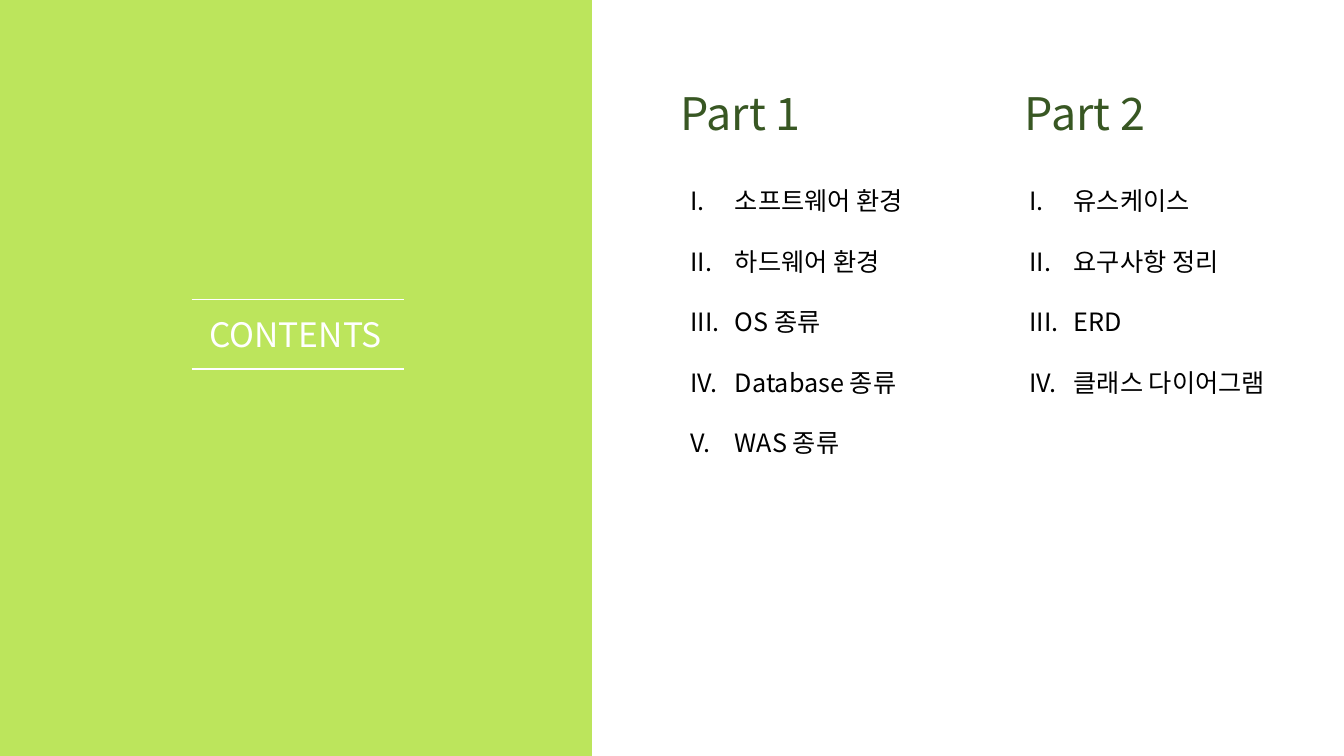
from dataclasses import dataclass

from lxml import etree
from pptx import Presentation
from pptx.dml.color import RGBColor
from pptx.enum.shapes import MSO_CONNECTOR, MSO_SHAPE
from pptx.enum.text import MSO_ANCHOR, MSO_AUTO_SIZE, PP_ALIGN
from pptx.oxml.ns import qn
from pptx.shapes.autoshape import Shape
from pptx.slide import Slide
from pptx.text.text import TextFrame, _Paragraph
from pptx.util import Inches, Pt

STRAIGHT = MSO_CONNECTOR.STRAIGHT
RECTANGLE = MSO_SHAPE.RECTANGLE
TOP = MSO_ANCHOR.TOP
FIT_SHAPE = MSO_AUTO_SIZE.SHAPE_TO_FIT_TEXT
CENTER = PP_ALIGN.CENTER
TITLE_ONLY_LAYOUT = 5


@dataclass(frozen=True)
class Theme:
    font: str = "Noto Sans CJK KR"
    panel: RGBColor = RGBColor(0xBC, 0xE5, 0x5C)
    white: RGBColor = RGBColor(0xFF, 0xFF, 0xFF)
    heading: RGBColor = RGBColor(0x38, 0x57, 0x23)
    body: RGBColor = RGBColor(0x00, 0x00, 0x00)
    title_size: int = 24
    heading_size: int = 32
    body_size: int = 18
    rule_width: int = 1


@dataclass(frozen=True)
class Box:
    left: float
    top: float
    width: float
    height: float


@dataclass(frozen=True)
class Part:
    heading: str
    heading_box: Box
    topics: tuple[str, ...]
    topics_box: Box


THEME = Theme()
NUMBER_INDENT = 0.44
RULE_LEFT, RULE_RIGHT = 1.9, 4.01
RULE_TOPS = (2.97, 3.66)
PANEL_BOX = Box(0, 0, 5.87, 7.5)
TITLE_BOX = Box(1.71, 3.06, 2.44, 0.5)
PARTS = (
    Part(
        "Part 1",
        Box(6.64, 0.8, 1.41, 0.64),
        ("소프트웨어 환경", "하드웨어 환경", "OS 종류", "Database 종류", "WAS 종류"),
        Box(6.75, 1.49, 2.51, 3.09),
    ),
    Part(
        "Part 2",
        Box(10.06, 0.8, 1.41, 0.64),
        ("유스케이스", "요구사항 정리", "ERD", "클래스 다이어그램"),
        Box(10.11, 1.49, 2.75, 2.52),
    ),
)


def lengths(box: Box) -> tuple[Inches, Inches, Inches, Inches]:
    return Inches(box.left), Inches(box.top), Inches(box.width), Inches(box.height)


def add_run(paragraph: _Paragraph, text: str, size: int, color: RGBColor) -> None:
    run = paragraph.add_run()
    run.text = text
    run.font.size = Pt(size)
    run.font.color.rgb = color
    run.font.name = THEME.font
    properties = run._r.get_or_add_rPr()
    etree.SubElement(properties, qn("a:ea"), typeface=THEME.font)


def number_paragraph(paragraph: _Paragraph) -> None:
    paragraph.line_spacing = 2.0
    properties = paragraph._p.get_or_add_pPr()
    properties.set("marL", str(Inches(NUMBER_INDENT)))
    properties.set("indent", str(-Inches(NUMBER_INDENT)))
    etree.SubElement(properties, qn("a:buAutoNum"), type="romanUcPeriod")


def add_text_box(slide: Slide, box: Box) -> TextFrame:
    frame = slide.shapes.add_textbox(*lengths(box)).text_frame
    frame.word_wrap = False
    frame.auto_size = FIT_SHAPE
    return frame


def add_panel(slide: Slide) -> Shape:
    panel = slide.shapes.add_shape(RECTANGLE, *lengths(PANEL_BOX))
    panel.shadow.inherit = False
    panel.fill.solid()
    panel.fill.fore_color.rgb = THEME.panel
    panel.line.fill.background()
    return panel


def add_rule(slide: Slide, top: float) -> None:
    rule = slide.shapes.add_connector(
        STRAIGHT, Inches(RULE_LEFT), Inches(top), Inches(RULE_RIGHT), Inches(top)
    )
    rule.line.color.rgb = THEME.white
    rule.line.width = Pt(THEME.rule_width)
    etree.SubElement(rule.element.spPr, qn("a:effectLst"))


def format_title(title: Shape) -> None:
    title.left, title.top, title.width, title.height = lengths(TITLE_BOX)
    frame = title.text_frame
    frame.word_wrap = True
    frame.auto_size = FIT_SHAPE
    frame.vertical_anchor = TOP
    paragraph = frame.paragraphs[0]
    paragraph.alignment = CENTER
    paragraph.line_spacing = 1.0
    paragraph.space_before = Pt(0)
    add_run(paragraph, "CONTENTS", THEME.title_size, THEME.white)


def add_part(slide: Slide, part: Part) -> None:
    heading = add_text_box(slide, part.heading_box).paragraphs[0]
    heading.alignment = CENTER
    add_run(heading, part.heading, THEME.heading_size, THEME.heading)
    frame = add_text_box(slide, part.topics_box)
    for index, topic in enumerate(part.topics):
        paragraph = frame.add_paragraph() if index else frame.paragraphs[0]
        number_paragraph(paragraph)
        add_run(paragraph, topic, THEME.body_size, THEME.body)


def main() -> None:
    presentation = Presentation()
    presentation.slide_width = Inches(13.33)
    presentation.slide_height = Inches(7.5)
    slide = presentation.slides.add_slide(presentation.slide_layouts[TITLE_ONLY_LAYOUT])
    title = slide.shapes.title
    format_title(title)
    panel = add_panel(slide)
    title.element.addprevious(panel.element)
    for top in RULE_TOPS:
        add_rule(slide, top)
    for part in PARTS:
        add_part(slide, part)
    presentation.save("out.pptx")


if __name__ == "__main__":
    main()
